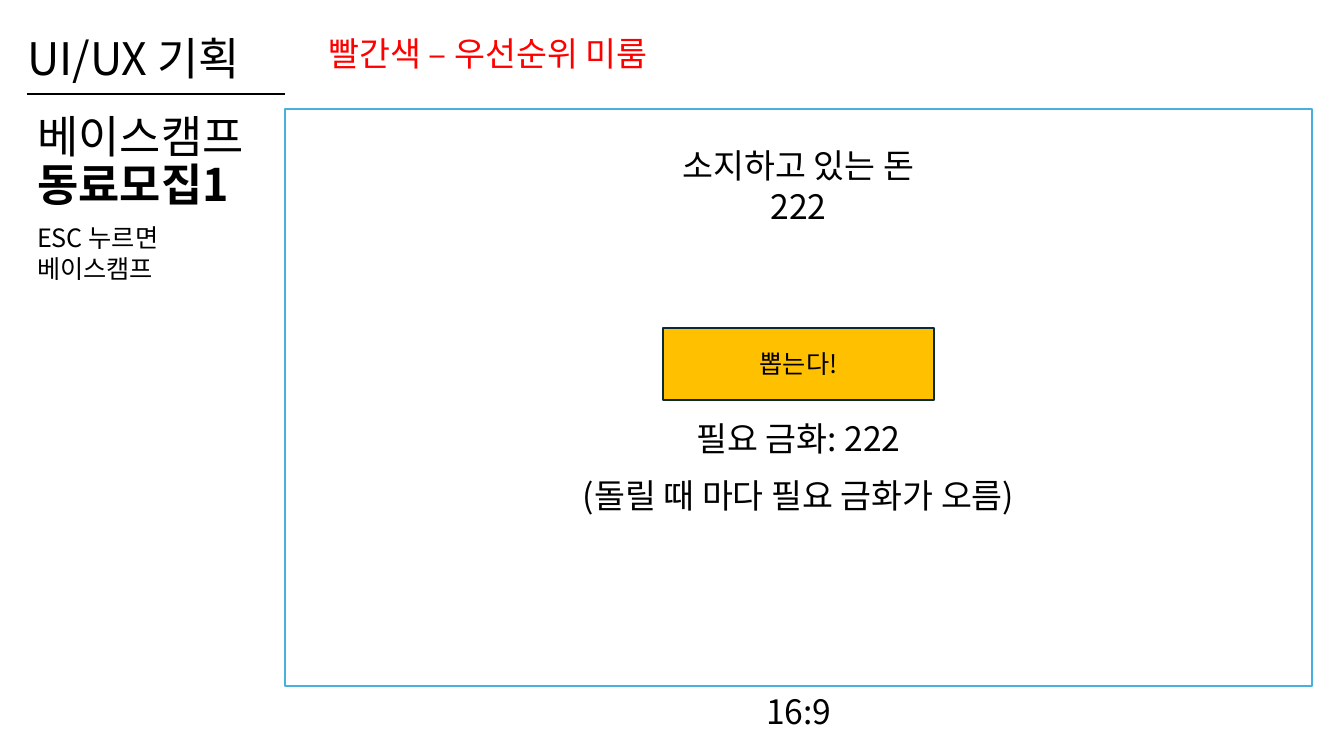
from lxml import etree
from pptx import Presentation
from pptx.dml.color import RGBColor
from pptx.enum import shapes, text
from pptx.oxml.ns import qn
from pptx.util import Inches, Pt

FONT = "Noto Sans CJK KR"
BLACK = RGBColor(0x00, 0x00, 0x00)
RED = RGBColor(0xFF, 0x00, 0x00)
SKY = RGBColor(0x46, 0xB1, 0xE1)
GOLD = RGBColor(0xFF, 0xC0, 0x00)
NAVY = RGBColor(0x09, 0x2A, 0x39)
LEFT, CENTER = text.PP_ALIGN.LEFT, text.PP_ALIGN.CENTER
TOP, MIDDLE = text.MSO_ANCHOR.TOP, text.MSO_ANCHOR.MIDDLE


def write(shape, *paragraphs, size=24, color=BLACK, align=LEFT, anchor=TOP,
          spacing=1.0, bold_line=None):
    """Fill a shape with paragraphs; a newline inside one is a line break."""
    frame = shape.text_frame
    frame.word_wrap = True
    frame.auto_size = text.MSO_AUTO_SIZE.NONE
    frame.vertical_anchor = anchor
    for number, content in enumerate(paragraphs):
        paragraph = frame.add_paragraph() if number else frame.paragraphs[0]
        paragraph.alignment = align
        paragraph.line_spacing = spacing
        for index, line in enumerate(content.split("\n")):
            if index:
                paragraph.add_line_break()
                line_break = paragraph._p.findall(qn("a:br"))[-1]
                etree.SubElement(line_break, qn("a:rPr"), sz=str(size * 100))
            run = paragraph.add_run()
            run.text = line
            run.font.size = Pt(size)
            run.font.bold = index == bold_line
            run.font.color.rgb = color
            run.font.name = FONT
            etree.SubElement(run.font._element, qn("a:ea"), typeface=FONT)


def add_text(slide, box, *paragraphs, **style):
    shape = slide.shapes.add_textbox(*map(Inches, box))
    write(shape, *paragraphs, **style)


def add_box(slide, box, line, fill=None):
    shape = slide.shapes.add_shape(shapes.MSO_SHAPE.RECTANGLE, *map(Inches, box))
    shape.shadow.inherit = False
    if fill is None:
        shape.fill.background()
    else:
        shape.fill.solid()
        shape.fill.fore_color.rgb = fill
    shape.line.color.rgb = line
    shape.line.width = Pt(1.5)
    return shape


def add_header(slide, left, top):
    heading = dict(anchor=MIDDLE, spacing=0.9)
    add_text(slide, (left - 0.1, top, 11.5, 0.96), "UI/UX 기획", size=32, **heading)
    add_text(slide, (left + 2.89, top + 0.02, 4.32, 0.8),
             "빨간색 – 우선순위 미룸", color=RED, **heading)
    rule_y = Inches(top + 0.8)
    rule = slide.shapes.add_connector(shapes.MSO_CONNECTOR.STRAIGHT, Inches(left),
                                      rule_y, Inches(left + 2.56), rule_y)
    rule.line.color.rgb = BLACK
    rule.line.width = Pt(1.5)
    etree.SubElement(rule._element.spPr, qn("a:effectLst"))


def add_sidebar(slide, left, top):
    title = slide.shapes.title
    title.left, title.top, title.width, title.height = map(
        Inches, (left, top, 2.48, 1.37))
    write(title, "베이스캠프\n동료모집1", size=32, anchor=MIDDLE, spacing=0.9,
          bold_line=1)
    add_text(slide, (left, top + 1.23, 6.67, 0.71), "ESC 누르면", "베이스캠프", size=18)


def add_game_screen(slide, left, top, width, height):
    add_box(slide, (left, top, width, height), SKY)
    middle = left + width / 2

    def centered(offset, part_width, part_height):
        return middle - part_width / 2, top + offset, part_width, part_height

    add_text(slide, centered(0.31, 3.16, 0.91), "소지하고 있는 돈", "222", align=CENTER)
    button = add_box(slide, centered(2.17, 2.69, 0.72), NAVY, GOLD)
    write(button, "뽑는다!", size=18, align=CENTER, anchor=MIDDLE)
    add_text(slide, centered(3.02, 3.16, 0.5), "필요 금화: 222", align=CENTER)
    add_text(slide, centered(3.58, 5.17, 0.5), "(돌릴 때 마다 필요 금화가 오름)",
             align=CENTER)
    add_text(slide, (middle - 0.42, top + height - 0.13, 1.25, 0.8), "16:9",
             anchor=MIDDLE, spacing=0.9)


def main():
    presentation = Presentation()
    presentation.slide_width = Inches(13.33)
    presentation.slide_height = Inches(7.5)
    slide = presentation.slides.add_slide(presentation.slide_layouts[5])
    add_header(slide, 0.27, 0.13)
    add_sidebar(slide, 0.27, 0.93)
    add_game_screen(slide, 2.83, 1.08, 10.18, 5.73)
    presentation.save("out.pptx")


if __name__ == "__main__":
    main()
